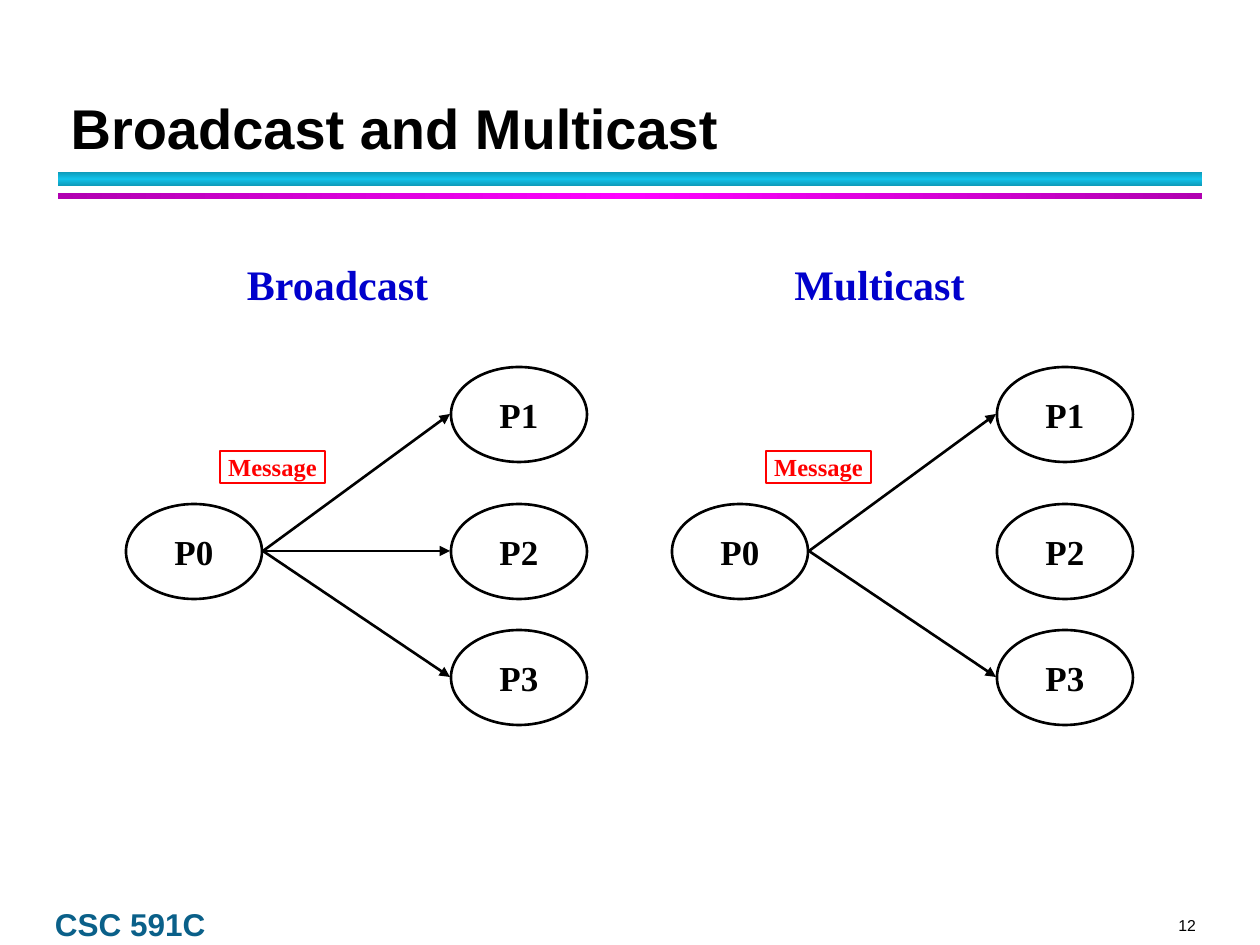
"""Build the slide that compares broadcast with multicast messaging."""
from copy import deepcopy
from typing import NamedTuple

from lxml import etree
from pptx import Presentation
from pptx.dml.color import RGBColor
from pptx.enum.shapes import MSO_CONNECTOR, MSO_SHAPE
from pptx.enum.text import MSO_ANCHOR, MSO_AUTO_SIZE, PP_ALIGN
from pptx.oxml.ns import qn
from pptx.util import Emu, Pt

STRAIGHT = MSO_CONNECTOR.STRAIGHT
OVAL, RECTANGLE = MSO_SHAPE.OVAL, MSO_SHAPE.RECTANGLE
MIDDLE, BOTTOM = MSO_ANCHOR.MIDDLE, MSO_ANCHOR.BOTTOM
LEFT, CENTER, RIGHT = PP_ALIGN.LEFT, PP_ALIGN.CENTER, PP_ALIGN.RIGHT
NO_AUTOFIT = MSO_AUTO_SIZE.NONE

PX_PER_INCH = 126
SANS, SERIF = "Arial", "Times New Roman"
BLACK, RED, BLUE, TEAL = "000000", "FF0000", "0000CC", "0A6089"
NODE_WIDTH, NODE_HEIGHT = 136, 95
SENDER_X, SENDER_Y = 126, 504
RECEIVER_X = 451
RECEIVER_TOPS = {"P1": 367, "P2": 504, "P3": 630}


class Box(NamedTuple):
    left: int
    top: int
    width: int
    height: int


class Rule(NamedTuple):
    box: Box
    edge: str
    centre: str
    angle: int


class Diagram(NamedTuple):
    heading: str
    heading_box: Box
    offset: int
    recipients: tuple[str, ...]


RULES = (
    Rule(Box(58, 172, 1144, 14), "0E9AB9", "12C2E9", 90),
    Rule(Box(58, 193, 1144, 6), "B100B1", "FF00FF", 0),
)
DIAGRAMS = (
    Diagram("Broadcast", Box(234, 252, 207, 63), 0, ("P1", "P2", "P3")),
    Diagram("Multicast", Box(782, 252, 195, 63), 546, ("P1", "P3")),
)


def px(length: int) -> Emu:
    """Turn pixels into EMU."""
    return Emu(round(length * 914400 / PX_PER_INCH))


def place(box: Box) -> tuple[Emu, ...]:
    """Turn a pixel box into EMU lengths."""
    return tuple(px(length) for length in box)


def color(value: str) -> RGBColor:
    """Read a hex colour."""
    return RGBColor.from_string(value)


def write(shape, text: str, *, size: int, font: str = SERIF, fill: str = BLACK,
          bold: bool = True, align=CENTER, anchor=MIDDLE, wrap: bool = False,
          spacing: int | None = None, inset: bool = True) -> None:
    """Put formatted text into a shape."""
    frame = shape.text_frame
    frame.text = text
    frame.auto_size = NO_AUTOFIT
    frame.word_wrap = wrap
    frame.vertical_anchor = anchor
    side, edge = (Pt(7.2), Pt(3.6)) if inset else (0, 0)
    frame.margin_left = frame.margin_right = side
    frame.margin_top = frame.margin_bottom = edge
    paragraph = frame.paragraphs[0]
    paragraph.alignment = align
    if spacing:
        paragraph.line_spacing = Pt(spacing)
    run_font = paragraph.runs[0].font
    run_font.name, run_font.size, run_font.bold = font, Pt(size), bold
    run_font.color.rgb = color(fill)


def add_label(slide, box: Box, text: str, **style) -> None:
    """Add a text box."""
    write(slide.shapes.add_textbox(*place(box)), text, **style)


def add_outlined(slide, kind, box: Box, text: str, *, line: str, size: int) -> None:
    """Add an unfilled shape with a label in its line colour."""
    shape = slide.shapes.add_shape(kind, *place(box))
    shape.shadow.inherit = False
    shape.fill.background()
    shape.line.color.rgb = color(line)
    shape.line.width = Pt(1.5)
    write(shape, text, size=size, fill=line)


def add_rule(slide, rule: Rule) -> None:
    """Add a bar whose gradient runs from edge to centre and back."""
    bar = slide.shapes.add_shape(RECTANGLE, *place(rule.box))
    bar.shadow.inherit = False
    bar.line.fill.background()
    bar.fill.gradient()
    bar.fill.gradient_angle = rule.angle
    stop_list = next(bar._element.iter(qn("a:gsLst")))
    stop_list.append(deepcopy(stop_list[0]))
    stops = zip(bar.fill.gradient_stops, (0, 0.5, 1), (rule.edge, rule.centre, rule.edge))
    for stop, position, shade in stops:
        stop.position = position
        stop.color.rgb = color(shade)


def add_arrow(slide, start: tuple[int, int], end: tuple[int, int]) -> None:
    """Add a straight arrow."""
    arrow = slide.shapes.add_connector(STRAIGHT, *map(px, start + end))
    arrow.line.color.rgb = color(BLACK)
    arrow.line.width = Pt(1.5)
    etree.SubElement(arrow.line._get_or_add_ln(), qn("a:tailEnd"), type="triangle")
    etree.SubElement(arrow._element.spPr, qn("a:effectLst"))


def add_diagram(slide, diagram: Diagram) -> None:
    """Draw a sender, its receivers and the messages between them."""
    add_label(slide, diagram.heading_box, diagram.heading, size=24, fill=BLUE)
    sender_x = SENDER_X + diagram.offset
    receiver_x = RECEIVER_X + diagram.offset
    nodes = [("P0", sender_x, SENDER_Y)]
    nodes += [(name, receiver_x, top) for name, top in RECEIVER_TOPS.items()]
    for name, left, top in nodes:
        add_outlined(slide, OVAL, Box(left, top, NODE_WIDTH, NODE_HEIGHT), name,
                     line=BLACK, size=20)
    middle = NODE_HEIGHT // 2
    for name in diagram.recipients:
        add_arrow(slide, (sender_x + NODE_WIDTH + 1, SENDER_Y + middle),
                  (receiver_x - 1, RECEIVER_TOPS[name] + middle))
    add_outlined(slide, RECTANGLE, Box(220 + diagram.offset, 451, 105, 32), "Message",
                 line=RED, size=14)


def main() -> None:
    """Build and save the slide."""
    presentation = Presentation()
    presentation.slide_width, presentation.slide_height = px(1260), px(945)
    slide = presentation.slides.add_slide(presentation.slide_layouts[5])
    add_label(slide, Box(1104, 916, 92, 19), "12", size=9, font=SANS, bold=False,
              align=RIGHT, anchor=BOTTOM, wrap=True, inset=False)
    add_label(slide, Box(55, 908, 176, 35), "CSC 591C", size=18, font=SANS, fill=TEAL,
              align=LEFT, anchor=BOTTOM, wrap=True, spacing=20, inset=False)
    for rule in RULES:
        add_rule(slide, rule)
    title = slide.shapes.title
    title.left, title.top, title.width, title.height = place(Box(58, 42, 1142, 125))
    write(title, "Broadcast and Multicast", size=32, font=SANS, align=LEFT,
          anchor=BOTTOM, wrap=True, spacing=36)
    for diagram in DIAGRAMS:
        add_diagram(slide, diagram)
    presentation.save("out.pptx")


if __name__ == "__main__":
    main()
